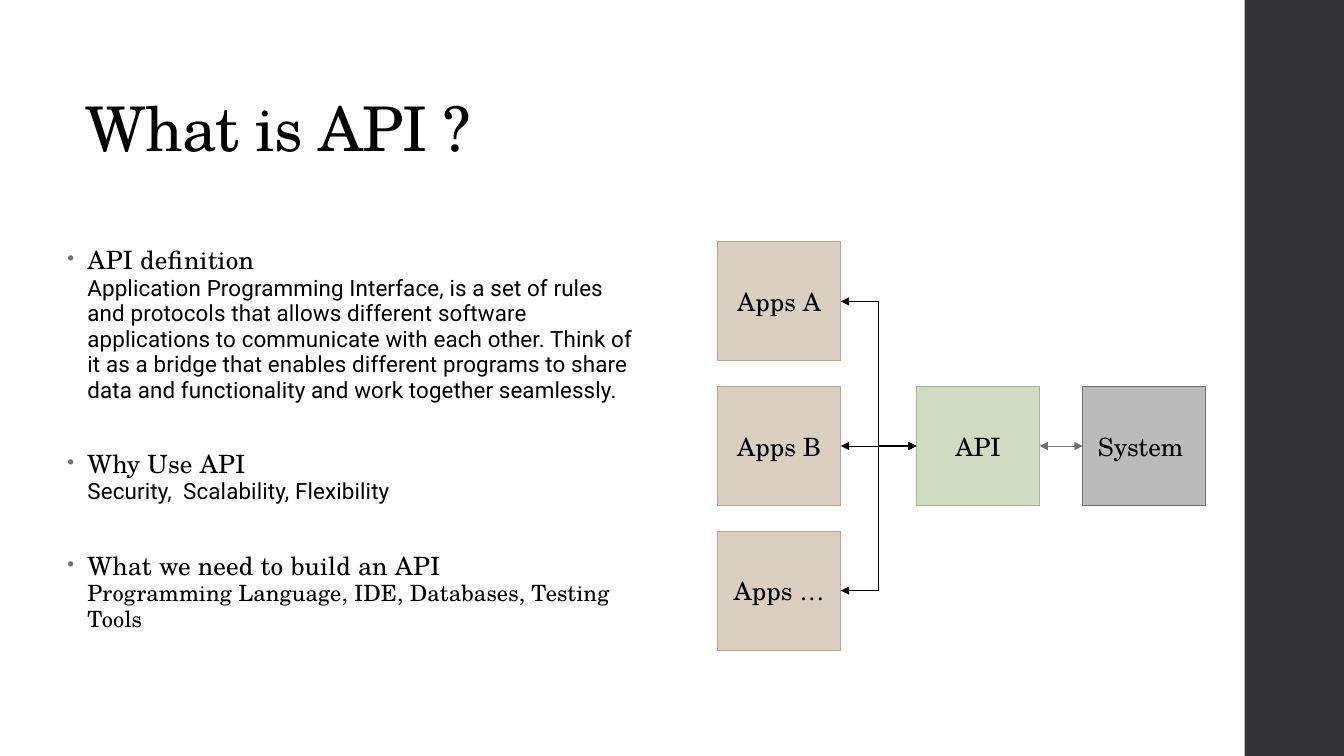
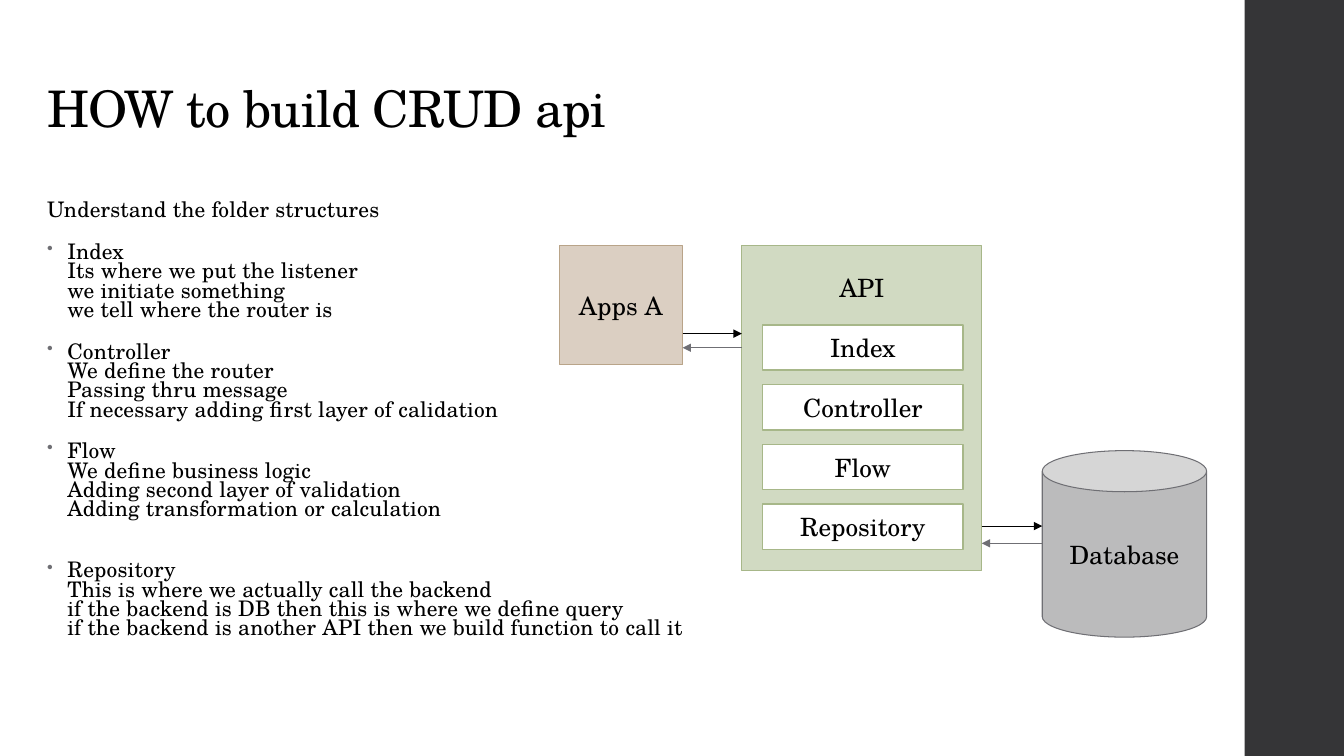
from lxml import etree
from pptx import Presentation
from pptx.dml.color import RGBColor
from pptx.enum.shapes import MSO_CONNECTOR, MSO_SHAPE
from pptx.enum.text import MSO_ANCHOR, PP_ALIGN
from pptx.oxml.ns import qn
from pptx.util import Pt

SERIF, SANS = "TeX Gyre Schola", "Roboto"
BLACK, WHITE, GREY, BAND = "000000", "FFFFFF", "6F6F74", "353537"
TAN = ("DBCFC2", "B9A489")
GREEN = ("D1DAC2", "A7B789")
SILVER = ("BBBBBC", GREY)
MODULE = (WHITE, "A7B789")
NODE_W, NODE_H = 88, 85

DEFINITION = (
    "Application Programming Interface, is a set of rules and protocols that allows "
    "different software applications to communicate with each other. Think of it as a "
    "bridge that enables different programs to share data and functionality and work "
    "together seamlessly."
)
TOPICS = [
    ("API definition", DEFINITION, SANS),
    ("Why Use API", "Security,  Scalability, Flexibility", SANS),
    ("What we need to build an API",
     "Programming Language, IDE, Databases, Testing Tools", SERIF),
]
FOLDERS = [
    (14, ["Index", "Its where we put the listener", "we initiate something",
          "we tell where the router is"]),
    (14, ["Controller", "We define the router", "Passing thru message",
          "If necessary adding first layer of calidation"]),
    (14, ["Flow", "We define business logic", "Adding second layer of validation",
          "Adding transformation or calculation"]),
    (28, ["Repository", "This is where we actually call the backend",
          "if the backend is DB then this is where we define query",
          "if the backend is another API then we build function to call it"]),
]


def color(value):
    return RGBColor.from_string(value)


def points(*values):
    return [Pt(value) for value in values]


def set_font(paragraph, size, spacing=0):
    font = paragraph.font
    font.name, font.size = SERIF, Pt(size)
    font.color.rgb = color(BLACK)
    if spacing:
        properties = paragraph._p.get_or_add_pPr().find(qn("a:defRPr"))
        properties.set("spc", str(round(spacing * 100)))


def add_bullet(paragraph):
    properties = paragraph._p.get_or_add_pPr()
    properties.set("marL", str(Pt(14.4)))
    properties.set("indent", str(-Pt(14.4)))
    bullet_color = etree.SubElement(properties, qn("a:buClr"))
    etree.SubElement(bullet_color, qn("a:srgbClr"), val=GREY)
    etree.SubElement(properties, qn("a:buSzPct"), val="80000")
    etree.SubElement(properties, qn("a:buChar"), char="•")


def add_text_frame(slide, box, anchor=MSO_ANCHOR.TOP):
    frame = slide.shapes.add_textbox(*points(*box)).text_frame
    frame.word_wrap = True
    frame.vertical_anchor = anchor
    return frame


def next_paragraph(frame, index, line_spacing, before):
    paragraph = frame.add_paragraph() if index else frame.paragraphs[0]
    paragraph.line_spacing = line_spacing
    paragraph.space_before = Pt(before if index else 0)
    paragraph.space_after = Pt(2)
    return paragraph


def add_block(slide, box, label, palette, line_width=0.75, kind=MSO_SHAPE.RECTANGLE):
    block = slide.shapes.add_shape(kind, *points(*box))
    block.shadow.inherit = False
    fill, outline = palette
    block.fill.solid()
    block.fill.fore_color.rgb = color(fill)
    block.line.color.rgb = color(outline)
    block.line.width = Pt(line_width)
    frame = block.text_frame
    frame.word_wrap = True
    frame.vertical_anchor = MSO_ANCHOR.MIDDLE
    paragraph = frame.paragraphs[0]
    paragraph.text = label
    paragraph.alignment = PP_ALIGN.CENTER
    set_font(paragraph, 18)
    return block


def add_node(slide, left, top, label, palette):
    return add_block(slide, (left, top, NODE_W, NODE_H), label, palette)


def add_arrow(slide, start, end, line_color, kind=MSO_CONNECTOR.STRAIGHT, both=False):
    arrow = slide.shapes.add_connector(kind, *points(*start, *end))
    arrow.line.color.rgb = color(line_color)
    arrow.line.width = Pt(0.75)
    properties = arrow._element.spPr
    outline = properties.find(qn("a:ln"))
    for tip in ("a:headEnd", "a:tailEnd") if both else ("a:tailEnd",):
        etree.SubElement(outline, qn(tip), type="triangle")
    etree.SubElement(properties, qn("a:effectLst"))
    return arrow


def link_nodes(slide, source, target, line_color, kind=MSO_CONNECTOR.STRAIGHT):
    link = add_arrow(slide, (0, 0), (0, 0), line_color, kind, both=True)
    link.begin_connect(source, 3)
    link.end_connect(target, 1)


def add_exchange(slide, left, right, request_y, reply_y):
    add_arrow(slide, (left, request_y), (right, request_y), BLACK)
    add_arrow(slide, (right, reply_y), (left, reply_y), GREY)


def add_base(deck, title, left, top, size):
    slide = deck.slides.add_slide(deck.slide_layouts[6])
    band = slide.shapes.add_shape(MSO_SHAPE.RECTANGLE, *points(889, 0, 71, 540))
    band.shadow.inherit = False
    band.fill.solid()
    band.fill.fore_color.rgb = color(BAND)
    band.line.fill.background()
    frame = add_text_frame(slide, (left, top, 763, 104.4), MSO_ANCHOR.BOTTOM)
    heading = frame.paragraphs[0]
    heading.text = title
    heading.line_spacing = 0.9
    set_font(heading, size, -0.5)
    return slide


def add_topics(slide, box):
    frame = add_text_frame(slide, box)
    for index, (topic, detail, face) in enumerate(TOPICS):
        paragraph = next_paragraph(frame, index, 0.95, 32)
        add_bullet(paragraph)
        set_font(paragraph, 18, 0.1)
        paragraph.add_run().text = topic
        paragraph.add_line_break()
        explanation = paragraph.add_run()
        explanation.text = detail
        explanation.font.name, explanation.font.size = face, Pt(16)


def add_folders(slide, box):
    frame = add_text_frame(slide, box)
    intro = next_paragraph(frame, 0, 0.75, 0)
    intro.text = "Understand the folder structures"
    set_font(intro, 15.3, 0.1)
    for index, (before, lines) in enumerate(FOLDERS, 1):
        paragraph = next_paragraph(frame, index, 0.75, before)
        paragraph.text = "\v".join(lines)
        add_bullet(paragraph)
        set_font(paragraph, 15.3, 0.1)


def add_bridge_diagram(slide, left, top):
    pitch = 103.3
    api = add_node(slide, left + 142, top + pitch, "API", GREEN)
    system = add_node(slide, left + 260.7, top + pitch, "System ", SILVER)
    for row, label in enumerate(("Apps A", "Apps B", "Apps …")):
        app = add_node(slide, left, top + row * pitch, label, TAN)
        kind = MSO_CONNECTOR.STRAIGHT if row == 1 else MSO_CONNECTOR.ELBOW
        link_nodes(slide, app, api, BLACK, kind)
    link_nodes(slide, api, system, GREY)


def add_crud_diagram(slide, left, top):
    api_left, api_width, database_left = left + 130.3, 171.4, left + 344.9
    add_node(slide, left, top, "Apps A", TAN)
    api = add_block(slide, (api_left, top, api_width, 231.8), "API", GREEN)
    api.text_frame.vertical_anchor = MSO_ANCHOR.TOP
    api.text_frame.margin_top = Pt(19)
    for row, label in enumerate(("Index", "Controller", "Flow", "Repository")):
        box = (api_left + 14.8, top + 56.3 + row * 42.7, 143.3, 32.3)
        add_block(slide, box, label, MODULE, 1.1)
    add_block(slide, (database_left, top + 146.2, 117.4, 133.2), "Database", SILVER,
              kind=MSO_SHAPE.CAN)
    add_exchange(slide, left + NODE_W, api_left, top + 62.6, top + 72.7)
    add_exchange(slide, api_left + api_width, database_left, top + 200.1, top + 212.4)


def main():
    deck = Presentation()
    deck.slide_width, deck.slide_height = points(960, 540)

    definition = add_base(deck, "What is API ?", 54, 16.6, 44)
    add_topics(definition, (41, 172.8, 428.4, 316.8))
    add_bridge_diagram(definition, 512.6, 172.8)

    crud = add_base(deck, "HOW to build CRUD api", 26.6, -2.2, 36)
    add_folders(crud, (26.6, 141.1, 826.6, 380))
    add_crud_diagram(crud, 399.6, 175.7)

    deck.save("out.pptx")


if __name__ == "__main__":
    main()
